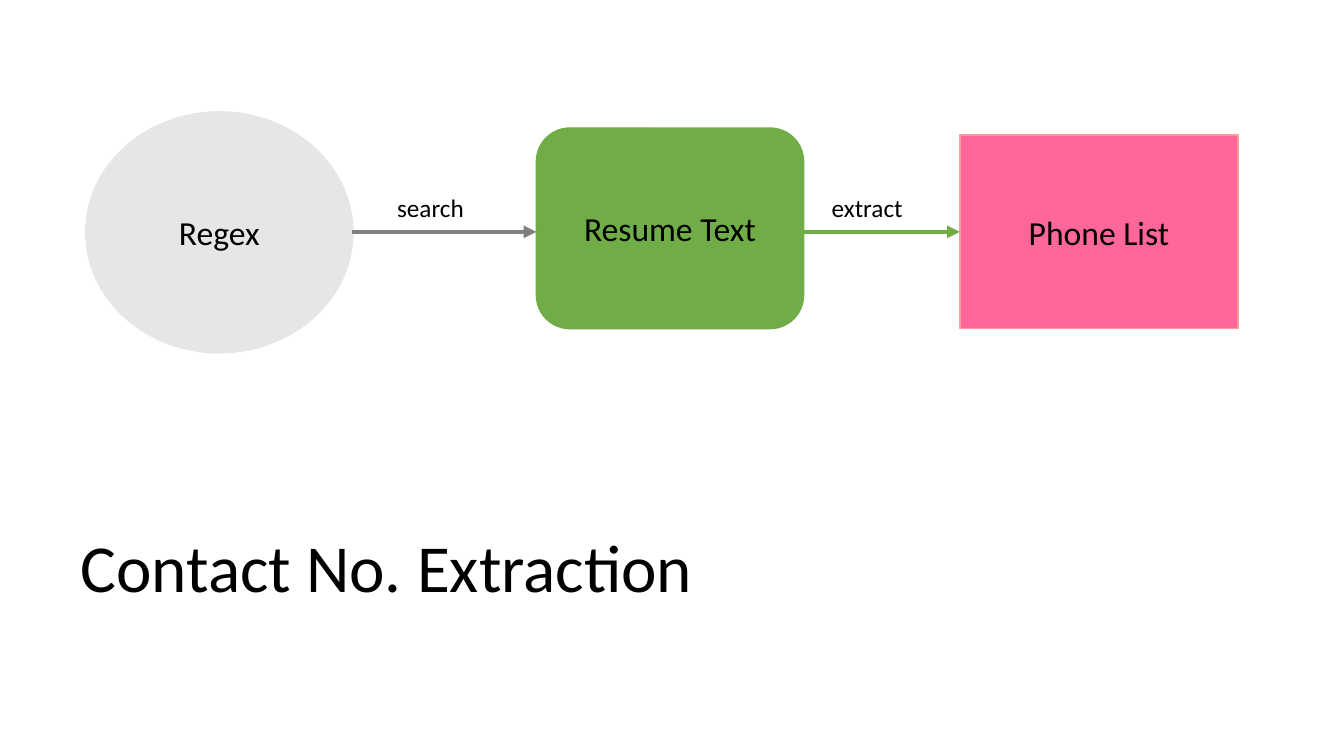
from lxml import etree
from pptx import Presentation
from pptx import util as u
from pptx.dml.color import RGBColor
from pptx.enum import shapes, text
from pptx.oxml import ns

PX = 9144
BLACK, GREY, GREEN = "000000", "7F7F7F", "70AD47"


def px(*lengths):
    """Turn pixel lengths into EMU."""
    return [u.Emu(n * PX) for n in lengths]


def color(value):
    """Turn a hex string into a colour."""
    return RGBColor.from_string(value)


def write(shape, words, size, align):
    """Put one line of Calibri text in a shape."""
    p = shape.text_frame.paragraphs[0]
    p.text = words
    p.alignment = align
    p.font.name = "Calibri"
    p.font.size = u.Pt(size)
    p.font.color.rgb = color(BLACK)


def add_node(s, kind, box, words, fill, line):
    """Add a filled shape with a centred caption."""
    sp = s.shapes.add_shape(kind, *px(*box))
    sp.shadow.inherit = False
    sp.fill.solid()
    sp.fill.fore_color.rgb = color(fill)
    sp.line.color.rgb = color(line)
    sp.line.width = u.Pt(1)
    sp.text_frame.vertical_anchor = text.MSO_ANCHOR.MIDDLE
    write(sp, words, 24, text.PP_ALIGN.CENTER)
    return sp


def add_label(s, box, words, size, align):
    """Add a text box."""
    sp = s.shapes.add_textbox(*px(*box))
    sp.text_frame.word_wrap = True
    sp.text_frame.auto_size = text.MSO_AUTO_SIZE.SHAPE_TO_FIT_TEXT
    write(sp, words, size, align)


def add_arrow(s, x1, x2, y, line):
    """Add a horizontal arrow."""
    c = s.shapes.add_connector(shapes.MSO_CONNECTOR.STRAIGHT, *px(x1, y, x2, y))
    c.line.color.rgb = color(line)
    c.line.width = u.Pt(3)
    etree.SubElement(c.line._get_or_add_ln(), ns.qn("a:tailEnd"), type="triangle")
    etree.SubElement(c._element.spPr, ns.qn("a:effectLst"))
    return c


def add_flow(s, x, y):
    """Draw the three steps and the arrows between them."""
    kind = shapes.MSO_SHAPE
    middle = y + 119
    add_node(s, kind.OVAL, (x, y, 265, 239), "Regex", "E7E6E6", "E7E6E6")
    add_node(s, kind.ROUNDED_RECTANGLE, (x + 447, y + 16, 265, 199),
             "Resume Text", GREEN, GREEN)
    phones = add_node(s, kind.RECTANGLE, (x + 867, middle - 96, 276, 192),
                      "Phone List", "FF6699", "FF9999")
    add_arrow(s, x + 264, x + 447, middle, GREY)
    add_arrow(s, x + 712, x + 867, middle, GREEN).end_connect(phones, 1)
    for left, width, words in ((299, 108, "search"), (730, 118, "extract")):
        add_label(s, (x + left, middle - 44, width, 40), words, 18,
                  text.PP_ALIGN.LEFT)


def main():
    """Build and save the slide."""
    prs = Presentation()
    prs.slide_width, prs.slide_height = px(1333, 750)
    s = prs.slides.add_slide(prs.slide_layouts[6])
    add_flow(s, 85, 111)
    add_label(s, (66, 516, 635, 91), "Contact No. Extraction", 48,
              text.PP_ALIGN.CENTER)
    prs.save("out.pptx")


if __name__ == "__main__":
    main()
